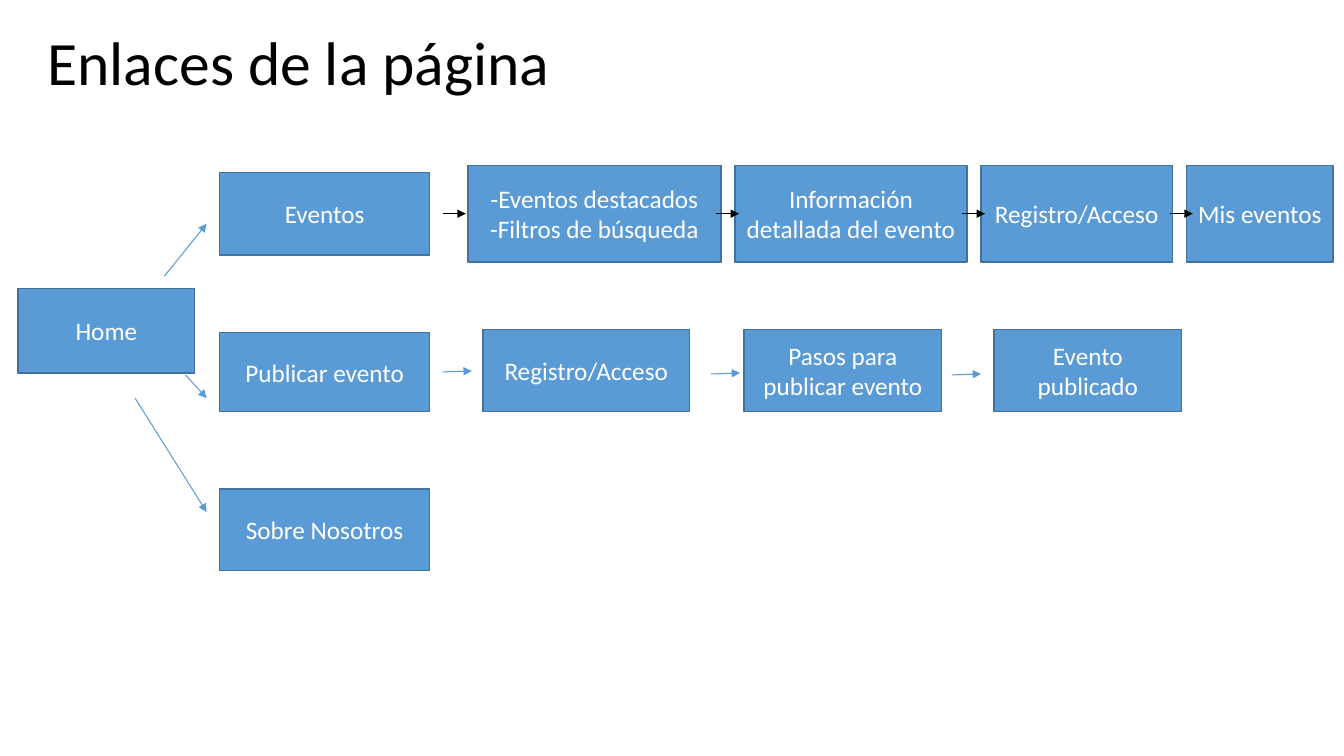
"""Build the site map slide that shows how the pages link together."""
from lxml.etree import SubElement
from pptx import Presentation
from pptx.dml.color import RGBColor
from pptx.enum.shapes import MSO_CONNECTOR, MSO_SHAPE
from pptx.enum.text import MSO_ANCHOR, MSO_AUTO_SIZE, PP_ALIGN
from pptx.oxml.ns import qn
from pptx.util import Inches, Pt

TITLE = "Enlaces de la página"
FONT = "Calibri"
BLUE, EDGE, BLACK, WHITE = "5B9BD5", "42719B", "000000", "FFFFFF"

MENU_LEFT, MENU_WIDTH = 2.18, 2.08
HOME = ("Home", 0.18, 2.86, 1.75, 0.84)
MENU = [
    ("Eventos", 1.71, 0.82),
    ("Publicar evento", 3.3, 0.78),
    ("Sobre Nosotros", 4.85, 0.81),
]
EVENT_TOP, EVENT_HEIGHT = 1.64, 0.96
EVENT_STEPS = [
    ("-Eventos destacados\n-Filtros de búsqueda", 4.64, 2.51),
    ("Información detallada del evento", 7.29, 2.3),
    ("Registro/Acceso", 9.73, 1.9),
    ("Mis eventos", 11.77, 1.45),
]
PUBLISH_TOP, PUBLISH_HEIGHT = 3.27, 0.81
PUBLISH_STEPS = [
    ("Registro/Acceso", 4.79, 2.05),
    ("Pasos para publicar evento", 7.38, 1.96),
    ("Evento publicado", 9.86, 1.86),
]

EVENT_LINK_STARTS = [4.39, 7.1, 9.54, 11.6]
EVENT_LINK_LENGTH = 0.23
PUBLISH_LINK_STARTS = [(4.39, 3.69), (7.05, 3.71), (9.44, 3.72)]
PUBLISH_LINK_LENGTH, PUBLISH_LINK_RISE = 0.29, 0.01
HOME_LINK_END = 2.05
HOME_LINKS = [(1.63, 2.74, 2.22), (1.84, 3.72, 3.95), (1.34, 3.95, 5.08)]


def paint(color_format, hex_color):
    color_format.rgb = RGBColor.from_string(hex_color)


def style_text(frame, size, color, align):
    for paragraph in frame.paragraphs:
        paragraph.alignment = align
        for run in paragraph.runs:
            run.font.name = FONT
            run.font.size = Pt(size)
            paint(run.font.color, color)


def add_page(slide, label, left, top, width, height):
    page = slide.shapes.add_shape(
        MSO_SHAPE.RECTANGLE, *map(Inches, (left, top, width, height)))
    page.shadow.inherit = False
    page.fill.solid()
    paint(page.fill.fore_color, BLUE)
    paint(page.line.color, EDGE)
    page.line.width = Pt(1)
    page.text_frame.text = label
    page.text_frame.word_wrap = True
    page.text_frame.vertical_anchor = MSO_ANCHOR.MIDDLE
    style_text(page.text_frame, 18, WHITE, PP_ALIGN.CENTER)


def add_link(slide, start, end, color):
    link = slide.shapes.add_connector(
        MSO_CONNECTOR.STRAIGHT, *map(Inches, (*start, *end)))
    paint(link.line.color, color)
    link.line.width = Pt(0.75)
    SubElement(link.line._get_or_add_ln(), qn("a:tailEnd"), type="triangle")
    SubElement(link._element.spPr, qn("a:effectLst"))


def add_title(slide):
    title = slide.shapes.title
    title.left, title.top = Inches(0.37), Inches(0.19)
    title.width, title.height = Inches(10.16), Inches(0.84)
    frame = title.text_frame
    frame.text = TITLE
    frame.word_wrap = True
    frame.auto_size = MSO_AUTO_SIZE.NONE
    frame.vertical_anchor = MSO_ANCHOR.TOP
    style_text(frame, 44, BLACK, PP_ALIGN.LEFT)


def main():
    deck = Presentation()
    deck.slide_width, deck.slide_height = Inches(13.33), Inches(7.5)
    slide = deck.slides.add_slide(deck.slide_layouts.get_by_name("Title Only"))
    add_title(slide)

    add_page(slide, *HOME)
    for label, top, height in MENU:
        add_page(slide, label, MENU_LEFT, top, MENU_WIDTH, height)
    for label, left, width in EVENT_STEPS:
        add_page(slide, label, left, EVENT_TOP, width, EVENT_HEIGHT)
    for label, left, width in PUBLISH_STEPS:
        add_page(slide, label, left, PUBLISH_TOP, width, PUBLISH_HEIGHT)

    event_middle = EVENT_TOP + EVENT_HEIGHT / 2
    for x in EVENT_LINK_STARTS:
        add_link(slide, (x, event_middle),
                 (x + EVENT_LINK_LENGTH, event_middle), BLACK)
    for x, y in PUBLISH_LINK_STARTS:
        add_link(slide, (x, y),
                 (x + PUBLISH_LINK_LENGTH, y - PUBLISH_LINK_RISE), BLUE)
    for x, y, end_y in HOME_LINKS:
        add_link(slide, (x, y), (HOME_LINK_END, end_y), BLUE)

    deck.save("out.pptx")


if __name__ == "__main__":
    main()
